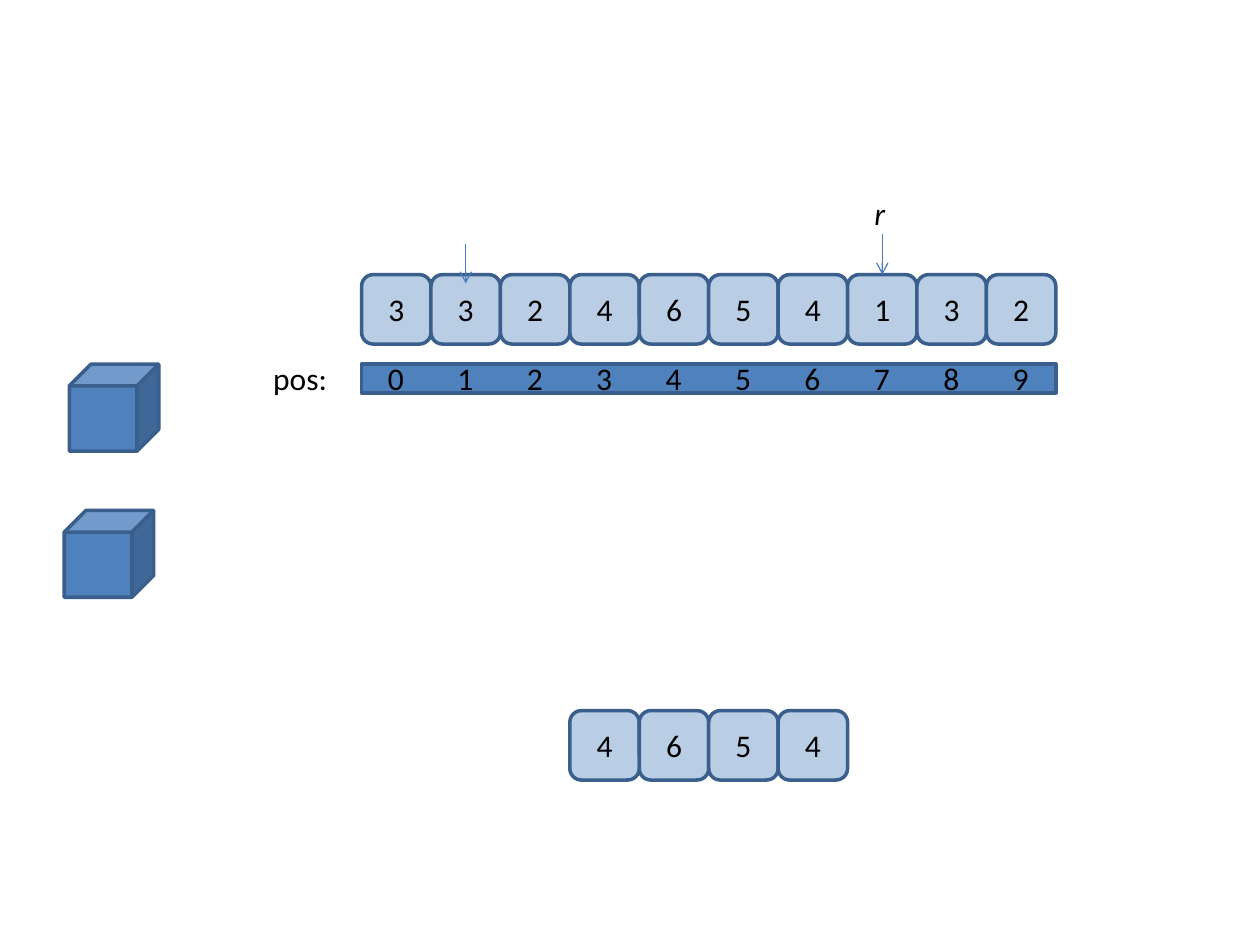
from dataclasses import dataclass

from lxml import etree
from pptx import Presentation
from pptx.dml.color import RGBColor
from pptx.enum.shapes import MSO_CONNECTOR, MSO_SHAPE
from pptx.enum.text import MSO_ANCHOR, MSO_AUTO_SIZE, PP_ALIGN
from pptx.oxml.ns import qn
from pptx.shapes.autoshape import Shape
from pptx.shapes.connector import Connector
from pptx.slide import Slide
from pptx.util import Inches, Pt

ROUNDED = MSO_SHAPE.ROUNDED_RECTANGLE
RECTANGLE = MSO_SHAPE.RECTANGLE
CUBE = MSO_SHAPE.CUBE
STRAIGHT = MSO_CONNECTOR.STRAIGHT
MIDDLE = MSO_ANCHOR.MIDDLE
CENTER = PP_ALIGN.CENTER
FIT_TEXT = MSO_AUTO_SIZE.SHAPE_TO_FIT_TEXT
TOP_SITE = 0
BLANK_LAYOUT = 6


@dataclass(frozen=True)
class Theme:
    cell: RGBColor = RGBColor(0xB9, 0xCD, 0xE5)
    solid: RGBColor = RGBColor(0x4F, 0x81, 0xBD)
    outline: RGBColor = RGBColor(0x3A, 0x5F, 0x8C)
    pointer: RGBColor = RGBColor(0x4B, 0x7E, 0xBC)
    ink: RGBColor = RGBColor(0, 0, 0)
    font: str = "Calibri"
    text_size: Pt = Pt(18)
    outline_width: Pt = Pt(2)
    pointer_width: Pt = Pt(0.75)


@dataclass(frozen=True)
class Box:
    left: float
    top: float
    width: float
    height: float

    def lengths(self) -> tuple:
        return tuple(map(Inches, (self.left, self.top, self.width, self.height)))


THEME = Theme()
ARRAY_LEFT = 2.87
ARRAY_TOP = 2.18
ARRAY_WIDTH = 5.51
ARRAY_VALUES = (3, 3, 2, 4, 6, 5, 4, 1, 3, 2)
PITCH = ARRAY_WIDTH / len(ARRAY_VALUES)
RANGE_START, RANGE_STOP = 3, 7
RANGE_TOP = 5.64
R_POSITION = 7
LABEL_TOP = 2.8
LABEL_HEIGHT = 0.4
DIGIT_WIDTH = 0.33
CUBES = (Box(0.51, 4.05, 0.71, 0.69), Box(0.55, 2.89, 0.71, 0.69))


def column_left(position: int) -> float:
    return ARRAY_LEFT + position * PITCH


def column_center(position: int) -> float:
    return column_left(position) + PITCH / 2


def write(shape: Shape, text: str, italic: bool = False) -> None:
    paragraph = shape.text_frame.paragraphs[0]
    run = paragraph.add_run()
    run.text = text
    run.font.color.rgb = THEME.ink
    formats = {"name": THEME.font, "size": THEME.text_size}
    if italic:
        formats["italic"] = True
    for name, value in formats.items():
        setattr(run.font, name, value)


def add_block(slide: Slide, kind: MSO_SHAPE, box: Box, fill: RGBColor) -> Shape:
    block = slide.shapes.add_shape(kind, *box.lengths())
    block.shadow.inherit = False
    block.fill.solid()
    block.fill.fore_color.rgb = fill
    block.line.color.rgb = THEME.outline
    block.line.width = THEME.outline_width
    return block


def add_cell(slide: Slide, position: int, top: float) -> Shape:
    cell = add_block(
        slide, ROUNDED, Box(column_left(position), top, PITCH, PITCH), THEME.cell
    )
    cell.text_frame.vertical_anchor = MIDDLE
    cell.text_frame.paragraphs[0].alignment = CENTER
    write(cell, str(ARRAY_VALUES[position]))
    return cell


def add_label(slide: Slide, text: str, box: Box, italic: bool = False) -> None:
    label = slide.shapes.add_textbox(*box.lengths())
    for name, value in {"word_wrap": False, "auto_size": FIT_TEXT}.items():
        setattr(label.text_frame, name, value)
    write(label, text, italic)


def add_pointer(slide: Slide, position: int, top: float, bottom: float) -> Connector:
    center = Inches(column_center(position))
    pointer = slide.shapes.add_connector(
        STRAIGHT, center, Inches(top), center, Inches(bottom)
    )
    pointer.line.color.rgb = THEME.pointer
    pointer.line.width = THEME.pointer_width
    properties = pointer._element.spPr
    etree.SubElement(properties.find(qn("a:ln")), qn("a:tailEnd"), type="arrow")
    etree.SubElement(properties, qn("a:effectLst"))
    return pointer


def main() -> None:
    presentation = Presentation()
    presentation.slide_width = Inches(10)
    presentation.slide_height = Inches(7.5)
    slide = presentation.slides.add_slide(presentation.slide_layouts[BLANK_LAYOUT])

    array_cells = [
        add_cell(slide, position, ARRAY_TOP) for position in range(len(ARRAY_VALUES))
    ]
    for position in range(RANGE_START, RANGE_STOP):
        add_cell(slide, position, RANGE_TOP)
    for cube in CUBES:
        add_block(slide, CUBE, cube, THEME.solid)

    add_pointer(slide, 1, 1.94, 2.25)
    r_pointer = add_pointer(slide, R_POSITION, 1.86, ARRAY_TOP)
    r_pointer.end_connect(array_cells[R_POSITION], TOP_SITE)
    add_label(slide, "r", Box(6.84, 1.49, 0.29, LABEL_HEIGHT), italic=True)

    add_block(slide, RECTANGLE, Box(ARRAY_LEFT, 2.89, ARRAY_WIDTH, 0.23), THEME.solid)
    for position in range(len(ARRAY_VALUES)):
        left = column_center(position) - DIGIT_WIDTH / 2
        add_label(slide, str(position), Box(left, LABEL_TOP, DIGIT_WIDTH, LABEL_HEIGHT))
    add_label(slide, "pos:", Box(2.07, LABEL_TOP, 0.63, LABEL_HEIGHT))

    presentation.save("out.pptx")


if __name__ == "__main__":
    main()
